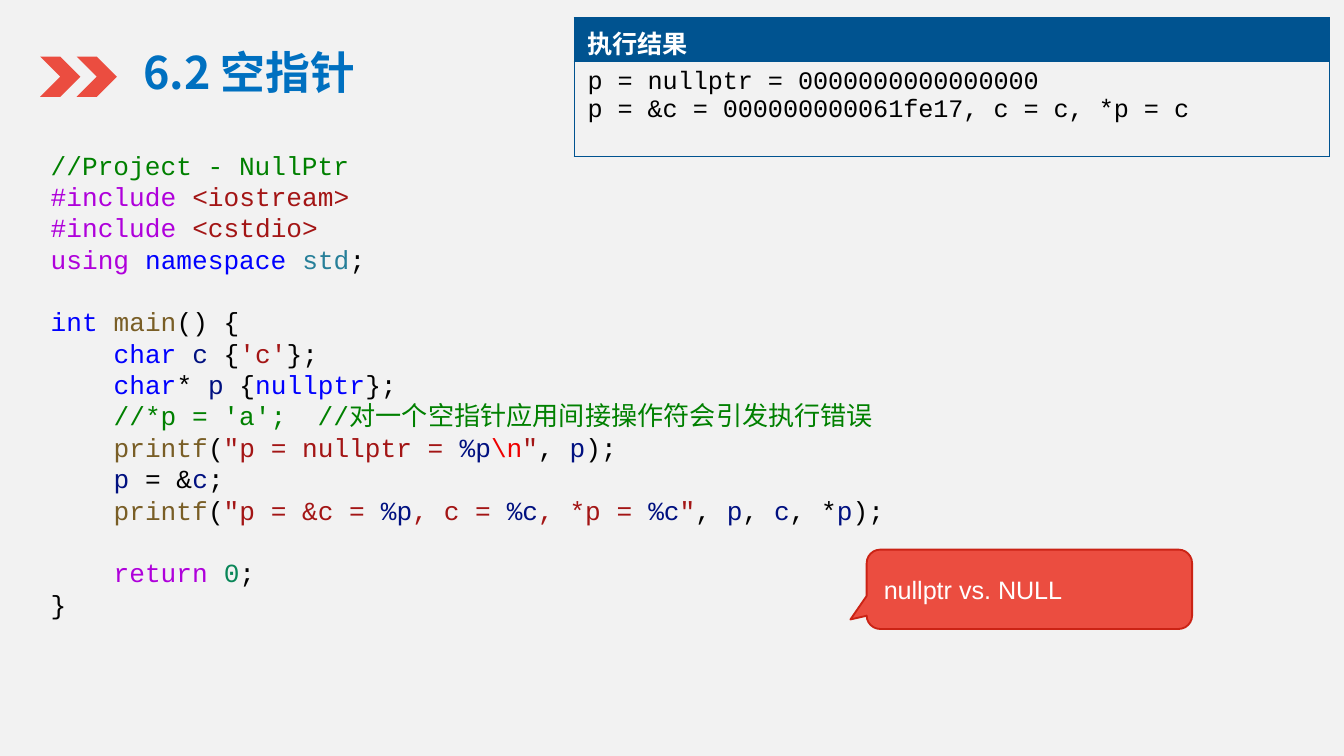
"""Build the slide on null pointers with code, program output and a callout."""
from dataclasses import dataclass
from typing import NamedTuple

from lxml import etree
from pptx import Presentation
from pptx.dml.color import RGBColor
from pptx.enum.shapes import MSO_SHAPE
from pptx.enum.text import MSO_ANCHOR, PP_ALIGN
from pptx.oxml.ns import qn
from pptx.util import Cm, Pt

CHEVRON = MSO_SHAPE.CHEVRON
CALLOUT = MSO_SHAPE.ROUNDED_RECTANGULAR_CALLOUT
TOP, MIDDLE = MSO_ANCHOR.TOP, MSO_ANCHOR.MIDDLE
LEFT = PP_ALIGN.LEFT

SANS, MONO, CJK = "Arial", "Courier New", "Noto Sans CJK JP"
WHITE = RGBColor(0xFF, 0xFF, 0xFF)
BLACK = RGBColor(0x00, 0x00, 0x00)
PAPER = RGBColor(0xF2, 0xF2, 0xF2)
TITLE_BLUE = RGBColor(0x00, 0x70, 0xC0)
TABLE_BLUE = RGBColor(0x00, 0x53, 0x90)
RED = RGBColor(0xEB, 0x4D, 0x40)
DARK_RED = RGBColor(0xCB, 0x23, 0x15)
COMMENT = RGBColor(0x00, 0x80, 0x00)
CONTROL = RGBColor(0xAF, 0x00, 0xDB)
STRING = RGBColor(0xA3, 0x15, 0x15)
KEYWORD = RGBColor(0x00, 0x00, 0xFF)
TYPE = RGBColor(0x26, 0x7F, 0x99)
FUNC = RGBColor(0x79, 0x5E, 0x26)
VAR = RGBColor(0x00, 0x10, 0x80)
ESCAPE = RGBColor(0xEE, 0x00, 0x00)
NUMBER = RGBColor(0x09, 0x86, 0x58)
CODE_PITCH = Pt(16.8)


class Token(NamedTuple):
    """A piece of code in one colour."""
    text: str
    color: RGBColor = BLACK


@dataclass(frozen=True)
class Line:
    """A line of code, with an optional gap of one line above."""
    tokens: tuple[Token, ...]
    indent: int = 0
    gap: bool = False


@dataclass(frozen=True)
class Box:
    """A position and size in centimetres."""
    x: float
    y: float
    w: float
    h: float

    def emu(self) -> tuple[Cm, Cm, Cm, Cm]:
        """Return the box as lengths."""
        return Cm(self.x), Cm(self.y), Cm(self.w), Cm(self.h)


def include(header: str) -> Line:
    """Return an include line."""
    return Line((Token("#include ", CONTROL), Token(header, STRING)))


P, C, END = Token("p", VAR), Token("c", VAR), Token(");")
COMMA, QUOTE = Token(", "), Token('"', STRING)
PRINTF = (Token("printf", FUNC), Token("("))
FMT_P, FMT_C = Token("%p", VAR), Token("%c", VAR)

CODE = (
    Line((Token("//Project - NullPtr", COMMENT),)),
    include("<iostream>"),
    include("<cstdio>"),
    Line((Token("using ", CONTROL), Token("namespace ", KEYWORD),
          Token("std", TYPE), Token(";"))),
    Line((Token("int ", KEYWORD), Token("main", FUNC), Token("() {")), gap=True),
    Line((Token("char ", KEYWORD), C, Token(" {"), Token("'c'", STRING),
          Token("};")), 4),
    Line((Token("char", KEYWORD), Token("* "), P, Token(" {"),
          Token("nullptr", KEYWORD), Token("};")), 4),
    Line((Token("//*p = 'a';  //对一个空指针应用间接操作符会引发执行错误", COMMENT),), 4),
    Line((*PRINTF, Token('"p = nullptr = ', STRING), FMT_P,
          Token("\\n", ESCAPE), QUOTE, COMMA, P, END), 4),
    Line((P, Token(" = &"), C, Token(";")), 4),
    Line((*PRINTF, Token('"p = &c = ', STRING), FMT_P, Token(", c = ", STRING),
          FMT_C, Token(", *p = ", STRING), FMT_C, QUOTE, COMMA, P, COMMA, C,
          Token(", *"), P, END), 4),
    Line((Token("return ", CONTROL), Token("0", NUMBER), Token(";")), 4, gap=True),
    Line((Token("}"),)),
)
OUTPUT = ("p = nullptr = 0000000000000000",
          "p = &c = 000000000061fe17, c = c, *p = c")


def add_run(p, text: str, *, font: str = SANS, size: float = 13.5,
            color: RGBColor = BLACK, bold: bool = False) -> None:
    """Add formatted text to a paragraph."""
    r = p.add_run()
    r.text = text
    r.font.name, r.font.size, r.font.bold = font, Pt(size), bold
    r.font.color.rgb = color
    etree.SubElement(r.font._element, qn("a:ea"), typeface=CJK)


def add_text_box(s, box: Box, anchor: MSO_ANCHOR):
    """Add a wrapping text box and return its text frame."""
    tf = s.shapes.add_textbox(*box.emu()).text_frame
    tf.word_wrap, tf.vertical_anchor = True, anchor
    return tf


def add_red_shape(s, kind: MSO_SHAPE, box: Box):
    """Add a flat red shape without a line."""
    sp = s.shapes.add_shape(kind, *box.emu())
    sp.shadow.inherit = False
    sp.fill.solid()
    sp.fill.fore_color.rgb = RED
    sp.line.fill.background()
    return sp


def add_code(s, box: Box, lines: tuple[Line, ...]) -> None:
    """Add highlighted code, one paragraph a line."""
    tf = add_text_box(s, box, TOP)
    for i, line in enumerate(lines):
        p = tf.paragraphs[0] if i == 0 else tf.add_paragraph()
        p.line_spacing = CODE_PITCH
        if line.gap:
            p.space_before = CODE_PITCH
        if line.indent:
            add_run(p, " " * line.indent, font=MONO, size=14)
        for token in line.tokens:
            add_run(p, token.text, font=MONO, size=14, color=token.color)


def set_borders(cell, color: RGBColor, width: Pt) -> None:
    """Draw all four borders of a table cell."""
    tc_pr = cell._tc.get_or_add_tcPr()
    for i, side in enumerate(("a:lnL", "a:lnR", "a:lnT", "a:lnB")):
        ln = etree.Element(qn(side), w=str(int(width)))
        fill = etree.SubElement(ln, qn("a:solidFill"))
        etree.SubElement(fill, qn("a:srgbClr"), val=str(color))
        tc_pr.insert(i, ln)


def add_output_table(s, box: Box, header_height: float) -> None:
    """Add the table with the program output."""
    table = s.shapes.add_table(2, 1, *box.emu()).table
    table.rows[0].height = Cm(header_height)
    table.rows[1].height = Cm(box.h - header_height)
    head, body = table.cell(0, 0), table.cell(1, 0)
    head.fill.solid()
    head.fill.fore_color.rgb = TABLE_BLUE
    head.margin_bottom = Cm(0)
    body.fill.background()
    for cell in (head, body):
        set_borders(cell, TABLE_BLUE, Pt(0.5))
    add_run(head.text_frame.paragraphs[0], "执行结果", color=WHITE, bold=True)
    tf = body.text_frame
    for i, text in enumerate(OUTPUT):
        p = tf.paragraphs[0] if i == 0 else tf.add_paragraph()
        add_run(p, text, font=MONO)


def main() -> None:
    """Build and save the slide."""
    prs = Presentation()
    prs.slide_width, prs.slide_height = Cm(25.4), Cm(14.29)
    s = prs.slides.add_slide(prs.slide_layouts[6])
    s.background.fill.solid()
    s.background.fill.fore_color.rgb = PAPER

    tf = add_text_box(s, Box(2.46, 0.71, 10.06, 1.27), MIDDLE)
    add_run(tf.paragraphs[0], "6.2 空指针", font=CJK, size=24,
            color=TITLE_BLUE, bold=True)
    for i in range(2):
        add_red_shape(s, CHEVRON, Box(0.76 + 0.69 * i, 1.07, 0.76, 0.76))

    add_code(s, Box(0.71, 2.69, 16.94, 10.41), CODE)
    add_output_table(s, Box(10.85, 0.33, 14.27, 2.63), 0.84)

    sp = add_red_shape(s, CALLOUT, Box(16.38, 10.39, 6.15, 1.5))
    sp.adjustments[0], sp.adjustments[1], sp.adjustments[2] = -0.55, 0.38, 0.17
    sp.line.color.rgb, sp.line.width = DARK_RED, Pt(1)
    sp.text_frame.vertical_anchor = MIDDLE
    p = sp.text_frame.paragraphs[0]
    p.alignment = LEFT
    add_run(p, "nullptr vs. NULL", color=WHITE)
    prs.save("out.pptx")


if __name__ == "__main__":
    main()
